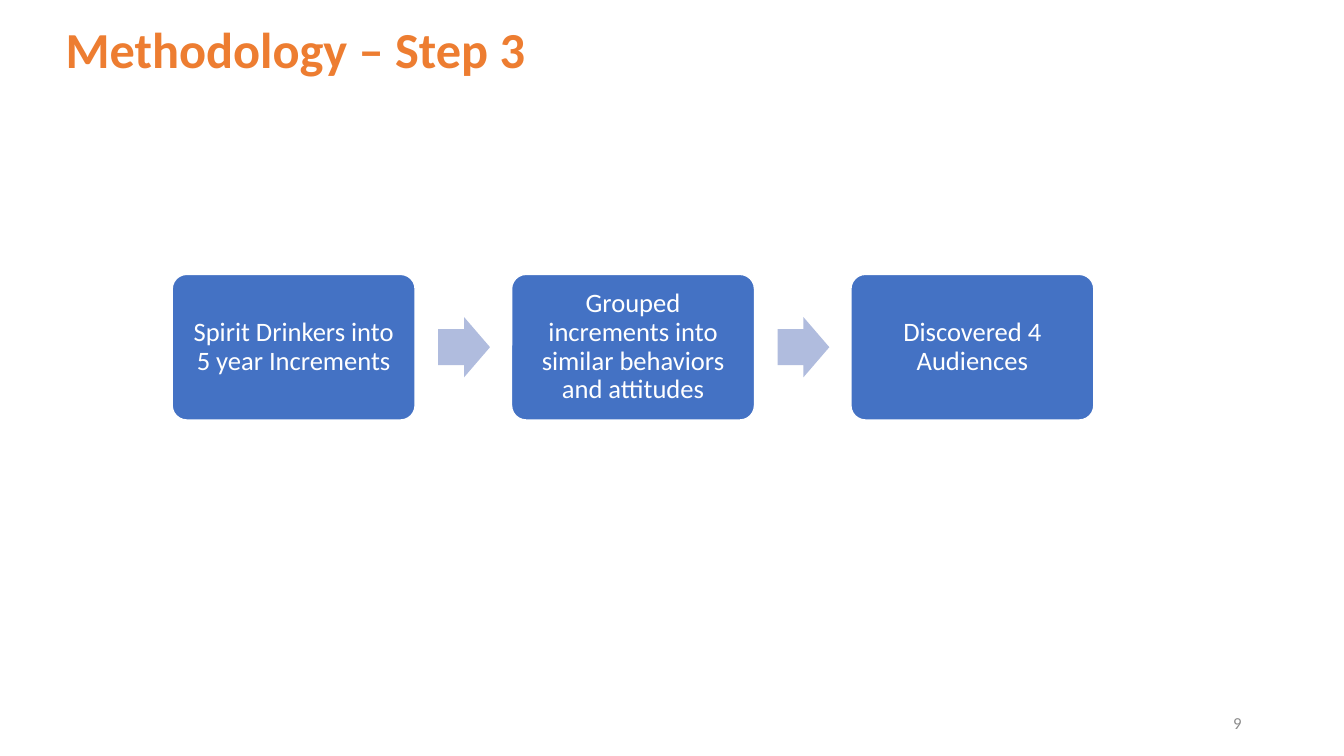
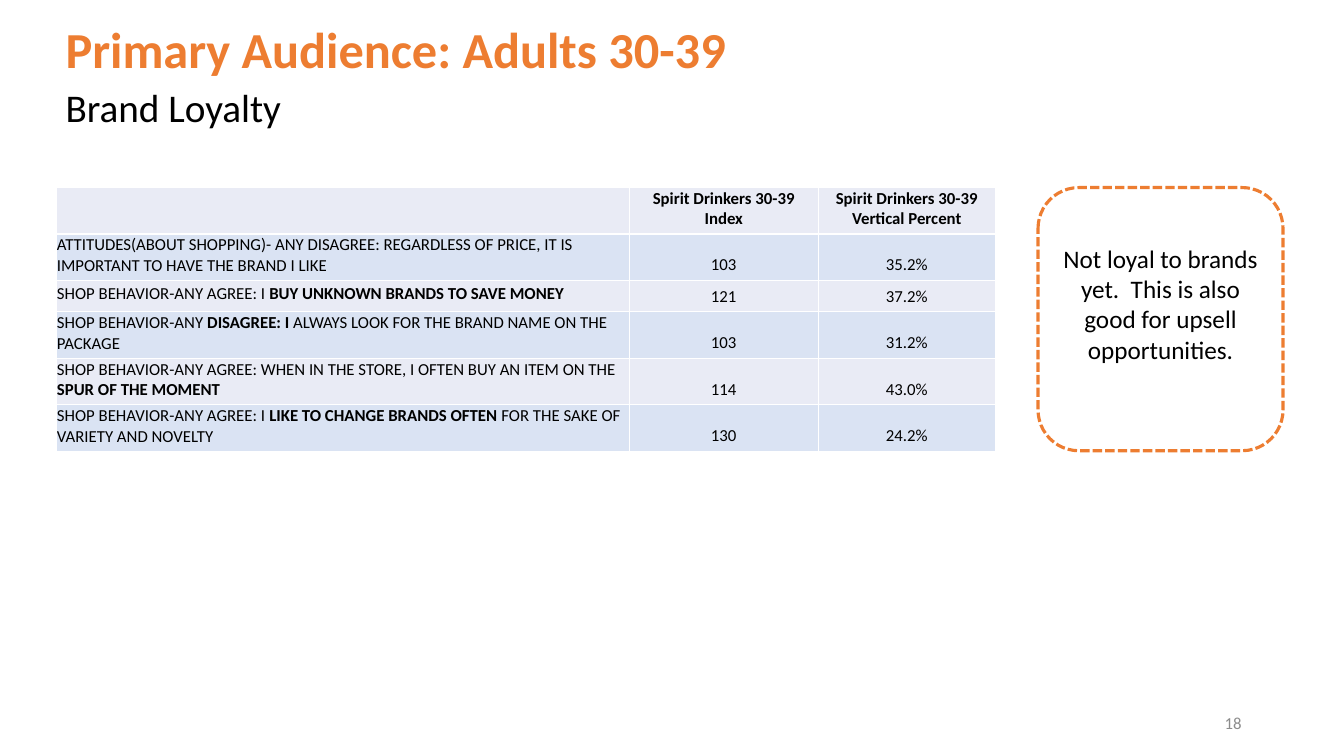
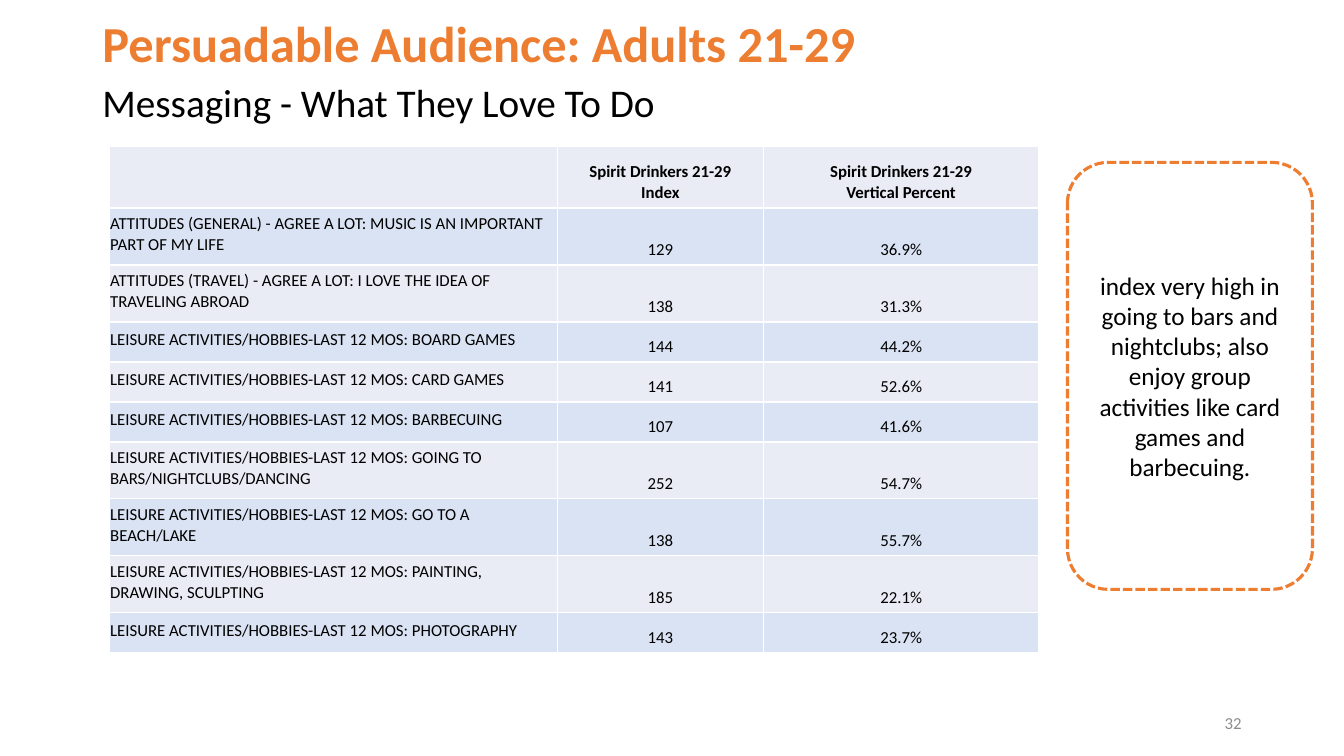
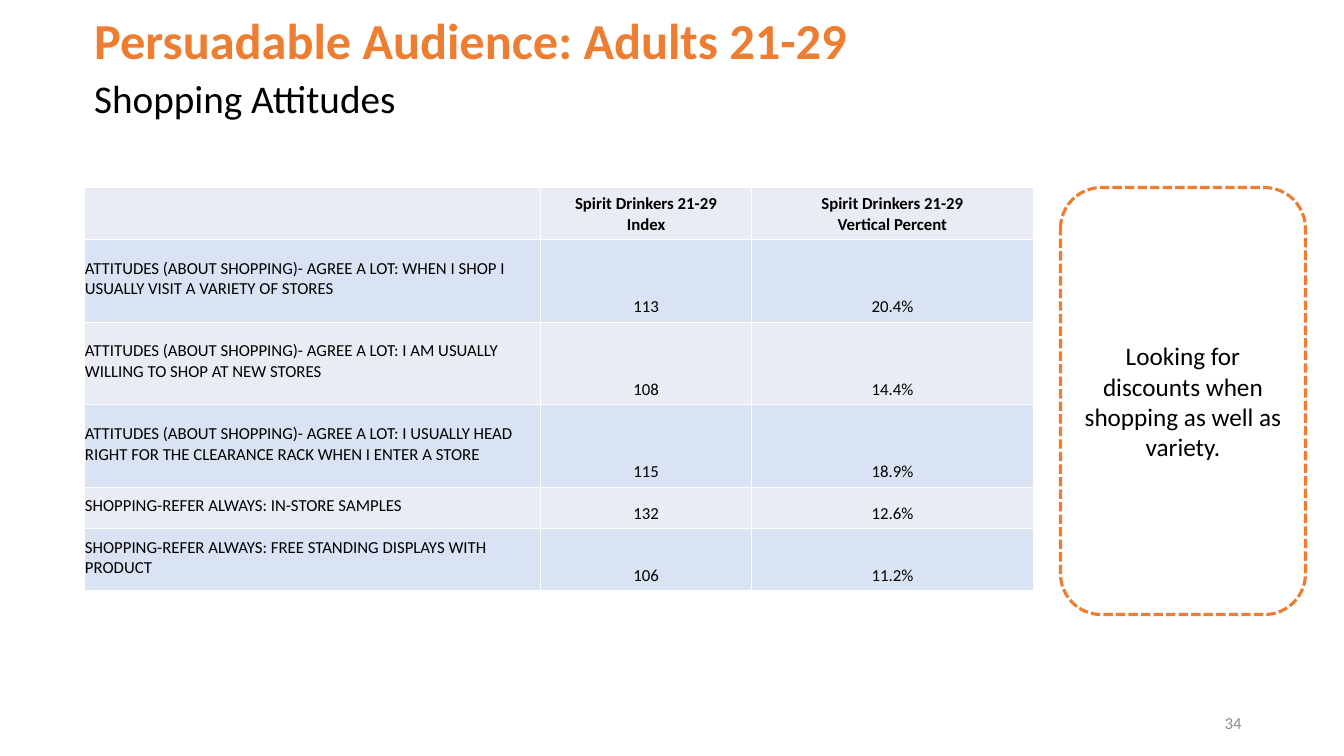
import pptx
import pptx.dml.color
import pptx.enum.dml
import pptx.enum.shapes
import pptx.enum.text
import pptx.util
from lxml import etree
from pptx.oxml import ns

Pt = pptx.util.Pt
RGB = pptx.dml.color.RGBColor
SHAPE = pptx.enum.shapes.MSO_SHAPE
ALIGN = pptx.enum.text.PP_ALIGN
ANCHOR = pptx.enum.text.MSO_ANCHOR

ORANGE = RGB(0xED, 0x7D, 0x31)
BLUE = RGB(0x44, 0x72, 0xC4)
PALE_BLUE = RGB(0xB0, 0xBC, 0xDE)
BAND_GREY = RGB(0xE9, 0xEB, 0xF5)
BAND_BLUE = RGB(0xDA, 0xE3, 0xF3)
GREY = RGB(0x8C, 0x8C, 0x8C)
BLACK = RGB(0, 0, 0)
WHITE = RGB(0xFF, 0xFF, 0xFF)

FONT = "Calibri"
TITLE_ONLY, TITLE_AND_BODY = 5, 1

LEFT_LINE = {"alignment": ALIGN.LEFT, "line_spacing": 0.9, "space_before": Pt(0)}
STEP_LINE = {"alignment": ALIGN.CENTER, "line_spacing": 0.9}
CENTERED = {"alignment": ALIGN.CENTER}
CELL_MARGINS = {"margin_left": Pt(0.7), "margin_top": Pt(0.7),
                "margin_right": Pt(0.7), "margin_bottom": Pt(3.6)}


def apply(target, values):
    for name, value in values.items():
        setattr(target, name, value)


def points(*lengths):
    return [Pt(length) for length in lengths]


class SlideBuilder:
    def __init__(self):
        self.deck = pptx.Presentation()
        apply(self.deck, {"slide_width": Pt(960), "slide_height": Pt(540)})
        self.page = None

    def add_text(self, frame, text, size, color, bold=False, line_format=None):
        """Fill a frame: a line break starts a paragraph, ** toggles bold."""
        for index, line in enumerate(text.split("\n")):
            para = frame.add_paragraph() if index else frame.paragraphs[0]
            apply(para, line_format or {})
            for position, part in enumerate(line.split("**")):
                if part:
                    span = para.add_run()
                    span.text = part
                    apply(span.font, {"name": FONT, "size": Pt(size),
                                      "bold": bold or position % 2 == 1})
                    span.font.color.rgb = color

    def place(self, box, left, top, width, height):
        apply(box, dict(zip(("left", "top", "width", "height"),
                            points(left, top, width, height))))

    def start(self, number, left, top, title, subtitle=None):
        layout = TITLE_AND_BODY if subtitle else TITLE_ONLY
        self.page = self.deck.slides.add_slide(self.deck.slide_layouts[layout])
        self.title(title, left, top)
        if subtitle:
            self.subtitle(subtitle, left, top + 50)
        self.page_number(number)

    def title(self, text, left, top):
        box = self.page.shapes.title
        self.place(box, left, top, 828, 50.4)
        apply(box.text_frame, {"vertical_anchor": ANCHOR.BOTTOM, "word_wrap": True,
                               "auto_size": pptx.enum.text.MSO_AUTO_SIZE.NONE})
        self.add_text(box.text_frame, text, 36, ORANGE, True, LEFT_LINE)

    def subtitle(self, text, left, top):
        box = self.page.placeholders[1]
        self.place(box, left, top, 828, 38)
        apply(box.text_frame, {"vertical_anchor": ANCHOR.TOP, "word_wrap": True,
                               "auto_size": pptx.enum.text.MSO_AUTO_SIZE.NONE})
        properties = box.text_frame.paragraphs[0]._p.get_or_add_pPr()
        properties.set("marL", "0")
        properties.set("indent", "0")
        etree.SubElement(properties, ns.qn("a:buNone"))
        self.add_text(box.text_frame, text, 28, BLACK, False, LEFT_LINE)

    def page_number(self, number):
        box = self.page.shapes.add_textbox(*points(678, 502, 216, 28.8))
        apply(box.text_frame, {"word_wrap": True, "vertical_anchor": ANCHOR.MIDDLE})
        self.add_text(box.text_frame, str(number), 12, GREY,
                      line_format={"alignment": ALIGN.RIGHT})

    def shape(self, kind, bounds, fill, adjustments=()):
        """Add a flat filled shape without an outline."""
        shape = self.page.shapes.add_shape(kind, *points(*bounds))
        shape.shadow.inherit = False
        shape.fill.solid()
        shape.fill.fore_color.rgb = fill
        shape.line.fill.background()
        for index, value in enumerate(adjustments):
            shape.adjustments[index] = value
        return shape

    def outline(self, shape, color, width):
        shape.line.color.rgb = color
        shape.line.width = Pt(width)

    def process(self, steps):
        """Draw a row of steps with an arrow between neighbours."""
        left, top, width, height, pitch = 123, 196, 173.5, 104, 242.4
        arrow_width, arrow_height = 37, 43
        for index, text in enumerate(steps):
            x = left + index * pitch
            if index:
                self.shape(SHAPE.RIGHT_ARROW,
                           (x - 52.4, top + (height - arrow_height) / 2,
                            arrow_width, arrow_height), PALE_BLUE, (0.6, 0.5))
            step = self.shape(SHAPE.ROUNDED_RECTANGLE, (x, top, width, height),
                              BLUE, (0.1,))
            self.outline(step, WHITE, 1)
            apply(step.text_frame, {
                "word_wrap": True, "vertical_anchor": ANCHOR.MIDDLE,
                **dict.fromkeys(("margin_left", "margin_top", "margin_right",
                                 "margin_bottom"), Pt(9))})
            self.add_text(step.text_frame, text, 19, WHITE, line_format=STEP_LINE)

    def callout(self, text, left, top, height, bottom_margin=3.6):
        box = self.shape(SHAPE.ROUNDED_RECTANGLE, (left, top, 175, height), WHITE)
        self.outline(box, ORANGE, 2.25)
        box.line.dash_style = pptx.enum.dml.MSO_LINE.SQUARE_DOT
        apply(box.text_frame, {"word_wrap": True, "vertical_anchor": ANCHOR.MIDDLE,
                               "margin_bottom": Pt(bottom_margin)})
        self.add_text(box.text_frame, text, 18, BLACK, line_format=CENTERED)

    def borders(self, cell):
        properties = cell._tc.get_or_add_tcPr()
        for side in ("a:lnL", "a:lnR", "a:lnT", "a:lnB"):
            line = etree.SubElement(properties, ns.qn(side), w=str(int(Pt(1))))
            fill = etree.SubElement(line, ns.qn("a:solidFill"))
            etree.SubElement(fill, ns.qn("a:srgbClr"), val=str(WHITE))

    def table(self, left, top, widths, heights, audience, rows,
              header_anchor=ANCHOR.BOTTOM):
        """Draw statements with their index and vertical percent."""
        header = ("", f"{audience}\nIndex", f"{audience}\nVertical Percent")
        lines = [header, *rows]
        frame = self.page.shapes.add_table(
            len(lines), len(widths), *points(left, top, sum(widths), sum(heights)))
        table = frame.table
        apply(table, {"first_row": False, "horz_banding": False})
        for column, width in zip(table.columns, widths):
            column.width = Pt(width)
        for row_index, (row, height, texts) in enumerate(
                zip(table.rows, heights, lines)):
            row.height = Pt(height)
            for column_index, (cell, text) in enumerate(zip(row.cells, texts)):
                self.borders(cell)
                cell.fill.solid()
                cell.fill.fore_color.rgb = BAND_BLUE if row_index % 2 else BAND_GREY
                anchor = ANCHOR.BOTTOM if column_index else ANCHOR.MIDDLE
                apply(cell, {**CELL_MARGINS, "vertical_anchor":
                             anchor if row_index else header_anchor})
                self.add_text(cell.text_frame, text, 12, BLACK, row_index == 0,
                              CENTERED if column_index else None)


def main():
    builder = SlideBuilder()

    builder.start(9, 39.6, 10, "Methodology – Step 3")
    builder.process(["Spirit Drinkers into 5 year Increments",
                     "Grouped increments into similar behaviors and attitudes",
                     "Discovered 4 Audiences"])

    builder.start(18, 39.6, 10, "Primary Audience: Adults 30-39", "Brand Loyalty")
    builder.table(40, 134, (409.5, 135, 126.5), (33.2, 33.2, 22.3, 33.2, 33.2, 33.2),
                  "Spirit Drinkers 30-39", [
        ("ATTITUDES(ABOUT SHOPPING)- ANY DISAGREE: REGARDLESS OF PRICE, IT IS "
         "IMPORTANT TO HAVE THE BRAND I LIKE", "103", "35.2%"),
        ("SHOP BEHAVIOR-ANY AGREE: I **BUY UNKNOWN BRANDS TO SAVE MONEY**",
         "121", "37.2%"),
        ("SHOP BEHAVIOR-ANY **DISAGREE: I** ALWAYS LOOK FOR THE BRAND NAME ON THE "
         "PACKAGE", "103", "31.2%"),
        ("SHOP BEHAVIOR-ANY AGREE: WHEN IN THE STORE, I OFTEN BUY AN ITEM ON THE "
         "**SPUR OF THE MOMENT**", "114", "43.0%"),
        ("SHOP BEHAVIOR-ANY AGREE: I **LIKE TO CHANGE BRANDS OFTEN **FOR THE SAKE "
         "OF VARIETY AND NOVELTY", "130", "24.2%"),
    ], ANCHOR.MIDDLE)
    builder.callout("Not loyal to brands yet.  This is also good for upsell "
                    "opportunities.", 741.5, 134, 188, 25.6)

    builder.start(32, 66, 6, "Persuadable Audience: Adults 21-29",
                  "Messaging - What They Love To Do")
    hobby = "LEISURE ACTIVITIES/HOBBIES-LAST 12 MOS: "
    one_line, two_lines = 28.6, 40.7
    builder.table(78, 104.4, (320, 147.5, 196.5),
                  (44.2, *[two_lines] * 2, *[one_line] * 3, *[two_lines] * 3, one_line),
                  "Spirit Drinkers 21-29", [
        ("ATTITUDES (GENERAL) - AGREE A LOT: MUSIC IS AN IMPORTANT PART OF MY LIFE",
         "129", "36.9%"),
        ("ATTITUDES (TRAVEL) - AGREE A LOT: I LOVE THE IDEA OF TRAVELING ABROAD",
         "138", "31.3%"),
        (hobby + "BOARD GAMES", "144", "44.2%"),
        (hobby + "CARD GAMES", "141", "52.6%"),
        (hobby + "BARBECUING", "107", "41.6%"),
        (hobby + "GOING TO BARS/NIGHTCLUBS/DANCING", "252", "54.7%"),
        (hobby + "GO TO A BEACH/LAKE", "138", "55.7%"),
        (hobby + "PAINTING, DRAWING, SCULPTING", "185", "22.1%"),
        (hobby + "PHOTOGRAPHY", "143", "23.7%"),
    ])
    builder.callout("index very high in going to bars and nightclubs; also enjoy "
                    "group activities like card games and barbecuing.",
                    762.5, 116, 305)

    builder.start(34, 60, 3.6, "Persuadable Audience: Adults 21-29",
                  "Shopping Attitudes")
    attitude = "ATTITUDES (ABOUT SHOPPING)- AGREE A LOT: "
    builder.table(60, 134, (326, 151, 201), (37.2, 59, 59, 59, 29.4, 44.4),
                  "Spirit Drinkers 21-29", [
        (attitude + "WHEN I SHOP I USUALLY VISIT A VARIETY OF STORES",
         "113", "20.4%"),
        (attitude + "I AM USUALLY WILLING TO SHOP AT NEW STORES", "108", "14.4%"),
        (attitude + "I USUALLY HEAD RIGHT FOR THE CLEARANCE RACK WHEN I ENTER A STORE",
         "115", "18.9%"),
        ("SHOPPING-REFER ALWAYS: IN-STORE SAMPLES", "132", "12.6%"),
        ("SHOPPING-REFER ALWAYS: FREE STANDING DISPLAYS WITH PRODUCT",
         "106", "11.2%"),
    ])
    builder.callout("Looking for discounts when shopping as well as variety.",
                    757.5, 134, 305)

    builder.deck.save("out.pptx")


if __name__ == "__main__":
    main()
